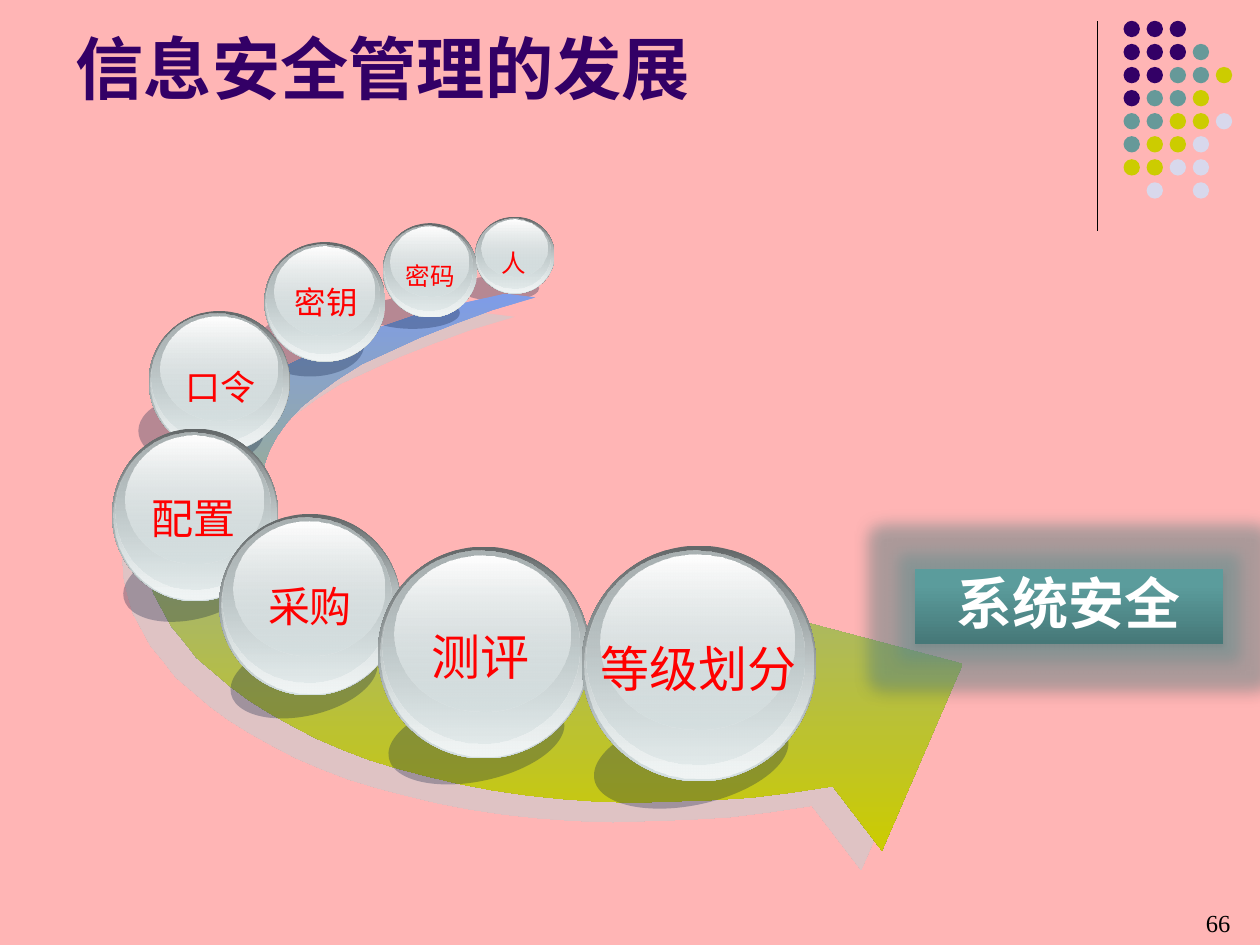
import pptx
import pptx.dml.color
import pptx.enum.shapes
import pptx.enum.text
import pptx.oxml
import pptx.oxml.ns
import pptx.util
from lxml import etree

Cm = pptx.util.Cm
Pt = pptx.util.Pt
RGBColor = pptx.dml.color.RGBColor
PP_ALIGN = pptx.enum.text.PP_ALIGN
MSO_ANCHOR = pptx.enum.text.MSO_ANCHOR
OVAL = pptx.enum.shapes.MSO_SHAPE.OVAL
qn = pptx.oxml.ns.qn

PINK = RGBColor(0xFF, 0xB5, 0xB5)
PURPLE = RGBColor(0x33, 0x00, 0x66)
TEAL = RGBColor(0x66, 0x99, 0x99)
YELLOW = RGBColor(0xCC, 0xCC, 0x00)
LAVENDER = RGBColor(0xD8, 0xD8, 0xEC)
BLUE = RGBColor(0x7E, 0x9C, 0xE8)
NAVY = RGBColor(0x0F, 0x21, 0x45)
RED = RGBColor(0xFF, 0x00, 0x00)
BLACK = RGBColor(0x00, 0x00, 0x00)
WHITE = RGBColor(0xFF, 0xFF, 0xFF)
DARK_GREY = RGBColor(0x63, 0x68, 0x69)
MID_GREY = RGBColor(0xAA, 0xB2, 0xB3)
GLASS = RGBColor(0xD6, 0xE1, 0xE2)
PALE_GLASS = RGBColor(0xF1, 0xF5, 0xF5)
ARROW_SHADOW = RGBColor(0xC1, 0xD1, 0xD3)
BANNER_DARK = RGBColor(0x46, 0x78, 0x78)
BANNER_LIGHT = RGBColor(0x5B, 0x9C, 0x9C)

CJK_FONT = "Noto Sans CJK SC"

DOT_COLORS = {"P": PURPLE, "T": TEAL, "Y": YELLOW, "L": LAVENDER}
DOT_ROWS = ["PPP", "PPPT", "PPTTY", "PTTY", "TTYYL", "TYYL", "YYLL", ".L.L"]

# Layers of a sphere: left, top, width, height as shares of the sphere,
# then the top colour, its opacity, the bottom colour, its opacity.
SPHERE_LAYERS = [
    (0, 0, 1, 1, DARK_GREY, 100, GLASS, 100),
    (0.01, 0.01, 0.98, 0.98, GLASS, 0, PALE_GLASS, 100),
    (0.02, 0.02, 0.93, 0.91, MID_GREY, 100, GLASS, 48),
    (0.08, 0.04, 0.83, 0.74, WHITE, 100, GLASS, 38),
]

# Label, font size, sphere box, shadow box, shadow rotation, label centre and top (cm)
SPHERES = [
    ("人", 14, (9.58, 4.37, 1.6, 1.55), (9.27, 5.56, 1.6, 0.51), 0, 10.36, 4.88),
    ("密码", 14, (7.72, 4.5, 1.9, 1.9), (7.37, 5.99, 1.9, 0.64), 0, 8.67, 5.13),
    ("密钥", 18, (5.33, 4.88, 2.44, 2.41), (5.16, 6.32, 2.18, 1.27), 0, 6.58, 5.58),
    ("口令", 20, (3, 6.27, 2.84, 2.84), (2.79, 7.95, 2.54, 1.47), 0, 4.45, 7.24),
    ("配置", 24, (2.26, 8.64, 3.35, 3.48), (2.46, 11.02, 2.77, 1.47), -12.9, 3.9, 9.8),
    ("采购", 24, (4.42, 10.36, 3.66, 3.66), (4.62, 12.88, 3.02, 1.55), -12.9, 6.25, 11.58),
    ("测评", 28, (7.62, 11.02, 4.27, 4.27), (7.8, 14.07, 3.61, 1.68), -12.1, 9.69, 12.5),
    ("等级划分", 28, (11.73, 11, 4.72, 4.75), (11.94, 14.38, 3.99, 1.85), -12.1, 14.08, 12.75),
]

ARROW_UNIT = Cm(0.0254)
ARROW_POINTS = [
    (401, 233), (366, 241), (333, 249), (304, 259), (276, 269), (251, 279), (228, 290),
    (208, 301), (189, 313), (173, 325), (158, 337), (146, 350), (136, 363), (128, 377),
    (121, 390), (117, 404), (115, 417), (114, 431), (115, 444), (118, 457), (122, 471),
    (129, 484), (136, 497), (146, 509), (156, 522), (169, 533), (183, 545), (198, 556),
    (214, 566), (232, 576), (251, 586), (272, 595), (293, 603), (316, 610), (339, 616),
    (364, 622), (390, 627), (417, 631), (445, 634), (473, 636), (503, 637), (533, 636),
    (564, 635), (596, 633), (628, 629), (661, 624), (700, 675), (764, 527), (545, 469),
    (583, 521), (565, 524), (546, 526), (526, 527), (506, 527), (487, 527), (466, 525),
    (446, 523), (427, 521), (407, 517), (388, 513), (369, 508), (351, 503), (333, 497),
    (317, 490), (301, 483), (286, 475), (272, 467), (259, 459), (247, 450), (237, 441),
    (228, 431), (221, 421), (215, 411), (211, 400), (209, 390), (209, 379), (210, 368),
    (214, 357), (220, 346), (228, 335), (239, 323), (253, 312), (268, 301), (287, 289),
    (309, 279), (333, 268), (361, 257), (391, 246), (425, 236),
]


def box_lengths(box):
    return [Cm(value) for value in box]


def set_opacity(color_element, percent):
    alpha = etree.SubElement(color_element, qn("a:alpha"))
    alpha.set("val", str(percent * 1000))


def clear_decoration(shape):
    shape.shadow.inherit = False
    shape.line.fill.background()


def fill_solid(shape, color, opacity=100):
    clear_decoration(shape)
    shape.fill.solid()
    shape.fill.fore_color.rgb = color
    if opacity < 100:
        set_opacity(shape._element.spPr.find(".//" + qn("a:srgbClr")), opacity)


def fill_gradient(shape, first, last, opacities=(100, 100), angle=270, end=1.0):
    """Blend first into last; an angle of 270 runs downwards."""
    clear_decoration(shape)
    shape.fill.gradient()
    shape.fill.gradient_angle = angle
    stops = shape.fill.gradient_stops
    for stop, color, position in zip(stops, (first, last), (0, end)):
        stop.color.rgb = color
        stop.position = position
    color_elements = shape._element.spPr.findall(".//" + qn("a:srgbClr"))
    for color_element, opacity in zip(color_elements, opacities):
        if opacity < 100:
            set_opacity(color_element, opacity)


def add_effect(shape, kind, color, opacity, **lengths):
    effects = shape._element.spPr.find(qn("a:effectLst"))
    effect = etree.SubElement(effects, qn("a:" + kind))
    for name, value in lengths.items():
        effect.set(name, str(int(value)))
    color_element = etree.SubElement(effect, qn("a:srgbClr"))
    color_element.set("val", str(color))
    set_opacity(color_element, opacity)


def write_text(shape, text, size, color, font="Arial", bold=False, wrap=True, margin=None,
               align=PP_ALIGN.LEFT, anchor=MSO_ANCHOR.TOP, line_spacing=None):
    frame = shape.text_frame
    frame.word_wrap = wrap
    frame.vertical_anchor = anchor
    if margin is not None:
        frame.margin_left = frame.margin_right = margin
        frame.margin_top = frame.margin_bottom = margin
    paragraph = frame.paragraphs[0]
    paragraph.alignment = align
    paragraph.line_spacing = line_spacing
    run = paragraph.add_run()
    run.text = text
    run.font.size = Pt(size)
    run.font.bold = bold
    run.font.name = font
    run.font.color.rgb = color
    east_asian = etree.Element(qn("a:ea"))
    east_asian.set("typeface", CJK_FONT)
    run.font._element.find(qn("a:latin")).addnext(east_asian)


def add_corner_decoration(slide):
    line = slide.shapes.add_connector(pptx.enum.shapes.MSO_CONNECTOR.STRAIGHT,
                                      Cm(22.12), Cm(0.43), Cm(22.12), Cm(4.65))
    line.line.color.rgb = BLACK
    line.line.width = Pt(0.75)
    etree.SubElement(line._element.spPr, qn("a:effectLst"))
    dots = slide.shapes.add_group_shape().shapes
    pitch, diameter = 0.465, Cm(0.33)
    for row, letters in enumerate(DOT_ROWS):
        for column, letter in enumerate(letters):
            if letter in DOT_COLORS:
                dot = dots.add_shape(OVAL, Cm(22.65 + column * pitch), Cm(0.42 + row * pitch),
                                     diameter, diameter)
                fill_solid(dot, DOT_COLORS[letter])


def add_sphere(slide, label, size, box, shadow_box, rotation, label_center, label_top):
    shapes = slide.shapes.add_group_shape().shapes
    shadow = shapes.add_shape(OVAL, *box_lengths(shadow_box))
    shadow.rotation = rotation
    fill_solid(shadow, NAVY, opacity=30)
    left, top, width, height = box
    for x, y, w, h, upper, upper_opacity, lower, lower_opacity in SPHERE_LAYERS:
        layer = shapes.add_shape(OVAL, *box_lengths(
            (left + x * width, top + y * height, w * width, h * height)))
        fill_gradient(layer, upper, lower, (upper_opacity, lower_opacity))
    label_width = Pt(size * len(label)) + Cm(0.8)
    text_box = shapes.add_textbox(Cm(label_center) - label_width // 2, Cm(label_top),
                                  label_width, Pt(size * 1.45) + Cm(0.25))
    write_text(text_box, label, size, RED, wrap=False, align=PP_ALIGN.CENTER)


def add_curved_arrow(slide):
    builder = slide.shapes.build_freeform(*ARROW_POINTS[0], scale=ARROW_UNIT)
    builder.add_line_segments(ARROW_POINTS[1:], close=True)
    arrow = builder.convert_to_shape()
    fill_gradient(arrow, BLUE, YELLOW)
    add_effect(arrow, "outerShdw", ARROW_SHADOW, 50, dist=Pt(16.3), dir=137 * 60000)


def add_banner(slide):
    banner = slide.shapes.add_shape(pptx.enum.shapes.MSO_SHAPE.RECTANGLE,
                                    *box_lengths((18.44, 11.48, 6.22, 1.5)))
    fill_gradient(banner, BANNER_DARK, BANNER_LIGHT, angle=90, end=0.8)
    add_effect(banner, "glow", TEAL, 40, rad=Pt(18))
    add_effect(banner, "outerShdw", BLACK, 35, blurRad=Pt(3.1), dist=Pt(1.8), dir=90 * 60000)
    write_text(banner, "系统安全", 32, WHITE, font=CJK_FONT, bold=True,
               align=PP_ALIGN.CENTER, line_spacing=0.9)


def main():
    presentation = pptx.Presentation()
    presentation.slide_width, presentation.slide_height = Cm(25.4), Cm(19.05)
    slide = presentation.slides.add_slide(presentation.slide_layouts[5])
    slide.background.fill.solid()
    slide.background.fill.fore_color.rgb = PINK

    add_corner_decoration(slide)
    page_number = slide.shapes.add_textbox(*box_lengths((24.31, 18.31, 0.84, 0.58)))
    write_text(page_number, "66", 14, BLACK, font="Times New Roman", margin=0)
    title = slide.shapes.title
    title.left, title.top, title.width, title.height = box_lengths((1.27, 0.33, 20.96, 1.98))
    write_text(title, "信息安全管理的发展", 39, PURPLE, bold=True, anchor=MSO_ANCHOR.BOTTOM)

    add_sphere(slide, *SPHERES[0])
    add_curved_arrow(slide)
    for sphere in SPHERES[1:]:
        add_sphere(slide, *sphere)
    add_banner(slide)
    presentation.save("out.pptx")


if __name__ == "__main__":
    main()
